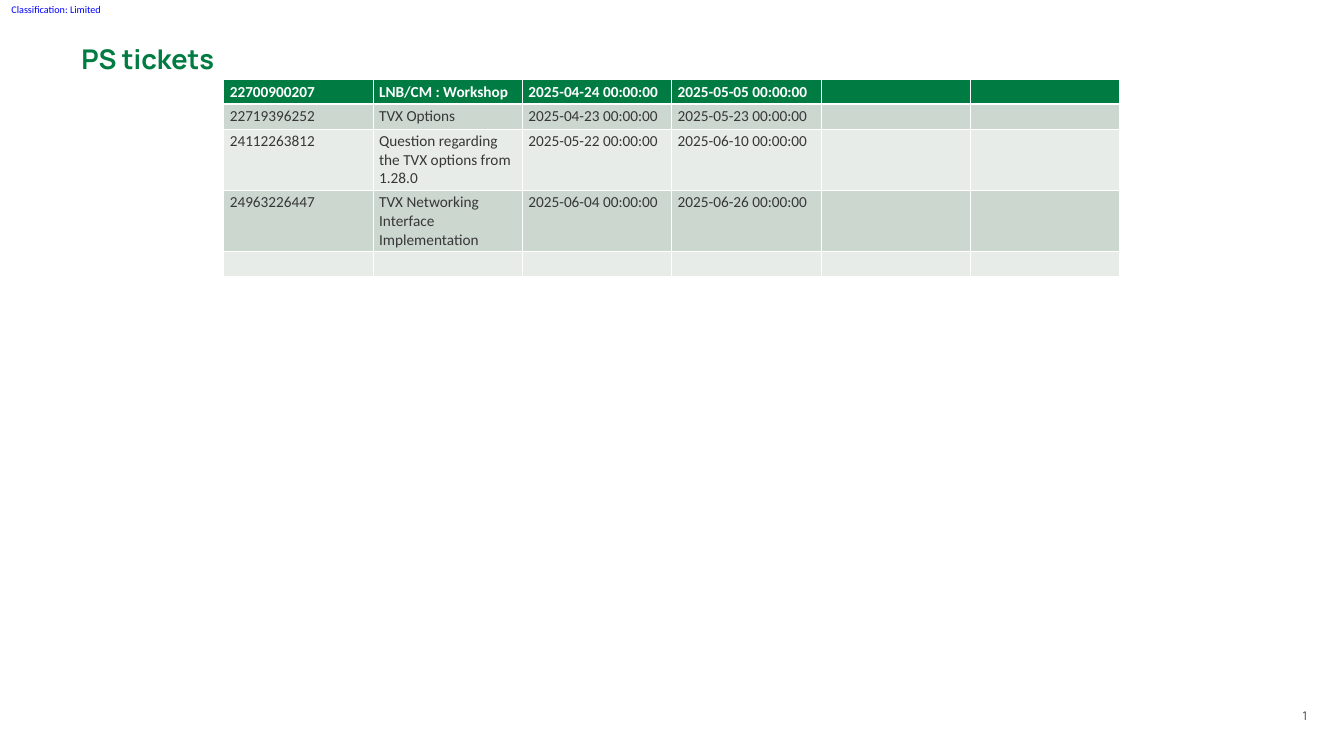
from lxml import etree
from pptx import Presentation
from pptx.dml.color import RGBColor
from pptx.enum.text import MSO_ANCHOR, PP_ALIGN
from pptx.oxml.ns import qn
from pptx.util import Pt

LEFT, CENTER, RIGHT = PP_ALIGN.LEFT, PP_ALIGN.CENTER, PP_ALIGN.RIGHT
TOP, MIDDLE = MSO_ANCHOR.TOP, MSO_ANCHOR.MIDDLE

# Content
CLASSIFICATION = "Classification: Limited"
TITLE = "PS tickets"
PAGE_NUMBER = "1"
TICKETS = [
    ("22700900207", "LNB/CM : Workshop", "2025-04-24 00:00:00", "2025-05-05 00:00:00"),
    ("22719396252", "TVX Options", "2025-04-23 00:00:00", "2025-05-23 00:00:00"),
    ("24112263812", "Question regarding the TVX options from 1.28.0",
     "2025-05-22 00:00:00", "2025-06-10 00:00:00"),
    ("24963226447", "TVX Networking Interface Implementation",
     "2025-06-04 00:00:00", "2025-06-26 00:00:00"),
    (),
]

# Style
GREEN, DARK, WHITE, BLUE = "007C43", "383738", "FFFFFF", "0000FF"
BANDS = ("CCD7CF", "E7ECE9")
BODY_FONT, BRAND_FONT = "Calibri", "Manrope"

# Layout in points
SLIDE_WIDTH, SLIDE_HEIGHT = 1583.3, 890.6
TABLE_LEFT, TABLE_TOP = 263.5, 93.6
COLUMN_COUNT, COLUMN_WIDTH, ROW_HEIGHT = 6, 175.9, 29.2
THIN, THICK = 1, 3


def color(hex_value):
    return RGBColor.from_string(hex_value)


def add_run(paragraph, text, font_name, size, hex_value, bold=False):
    run = paragraph.add_run()
    run.text = text
    run.font.name = font_name
    run.font.size = Pt(size)
    run.font.bold = bold
    run.font.color.rgb = color(hex_value)


def add_text(slide, box, text, style, align=LEFT, anchor=TOP, insets=(0, 0, 0, 0)):
    frame = slide.shapes.add_textbox(*(Pt(value) for value in box)).text_frame
    frame.word_wrap = True
    frame.vertical_anchor = anchor
    (frame.margin_left, frame.margin_top,
     frame.margin_right, frame.margin_bottom) = (Pt(value) for value in insets)
    paragraph = frame.paragraphs[0]
    paragraph.alignment = align
    add_run(paragraph, text, *style)
    return paragraph


def set_borders(cell, top, bottom):
    properties = cell._tc.get_or_add_tcPr()
    widths = {"a:lnL": THIN, "a:lnR": THIN, "a:lnT": top, "a:lnB": bottom}
    for position, (tag, width) in enumerate(widths.items()):
        line = etree.Element(qn(tag), w=str(Pt(width)))
        fill = etree.SubElement(line, qn("a:solidFill"))
        etree.SubElement(fill, qn("a:srgbClr"), val=WHITE)
        properties.insert(position, line)


def add_ticket_table(slide):
    table = slide.shapes.add_table(
        len(TICKETS), COLUMN_COUNT, Pt(TABLE_LEFT), Pt(TABLE_TOP),
        Pt(COLUMN_COUNT * COLUMN_WIDTH), Pt(len(TICKETS) * ROW_HEIGHT)).table
    for column in table.columns:
        column.width = Pt(COLUMN_WIDTH)
    for row_index, ticket in enumerate(TICKETS):
        table.rows[row_index].height = Pt(ROW_HEIGHT)
        header = row_index == 0
        for column_index in range(COLUMN_COUNT):
            cell = table.cell(row_index, column_index)
            cell.fill.solid()
            cell.fill.fore_color.rgb = color(GREEN if header else BANDS[(row_index - 1) % 2])
            set_borders(cell, THICK if row_index == 1 else THIN, THICK if header else THIN)
            if column_index < len(ticket):
                add_run(cell.text_frame.paragraphs[0], ticket[column_index],
                        BODY_FONT, 18, WHITE if header else DARK, header)


def main():
    presentation = Presentation()
    presentation.slide_width = Pt(SLIDE_WIDTH)
    presentation.slide_height = Pt(SLIDE_HEIGHT)
    slide = presentation.slides.add_slide(presentation.slide_layouts[6])

    # Classification label
    add_text(slide, (0, 0, 132.5, 23), CLASSIFICATION, (BODY_FONT, 12, BLUE), CENTER, MIDDLE)

    # Title with a hanging indent
    title = add_text(slide, (77.8, 50.4, 1125.4, 95.8), TITLE,
                     (BRAND_FONT, 32, GREEN, True), insets=(0, 3.6, 7.2, 3.6))
    title.line_spacing = 0.9
    indents = title._p.get_or_add_pPr()
    indents.set("marL", str(Pt(36)))
    indents.set("indent", str(Pt(-18)))

    # Page number
    add_text(slide, (1175.8, 835.2, 364.3, 17.3), PAGE_NUMBER, (BRAND_FONT, 14, DARK), RIGHT)

    # Ticket table
    add_ticket_table(slide)

    presentation.save("out.pptx")


if __name__ == "__main__":
    main()
